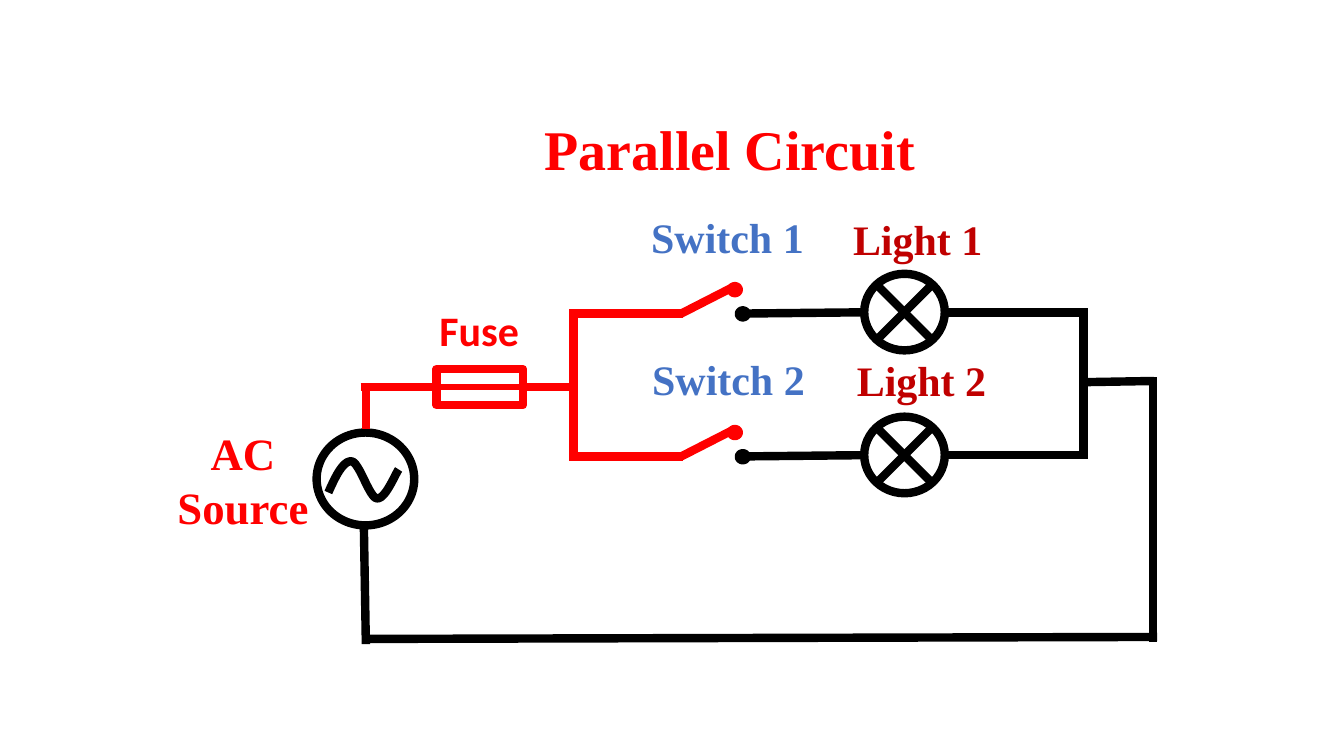
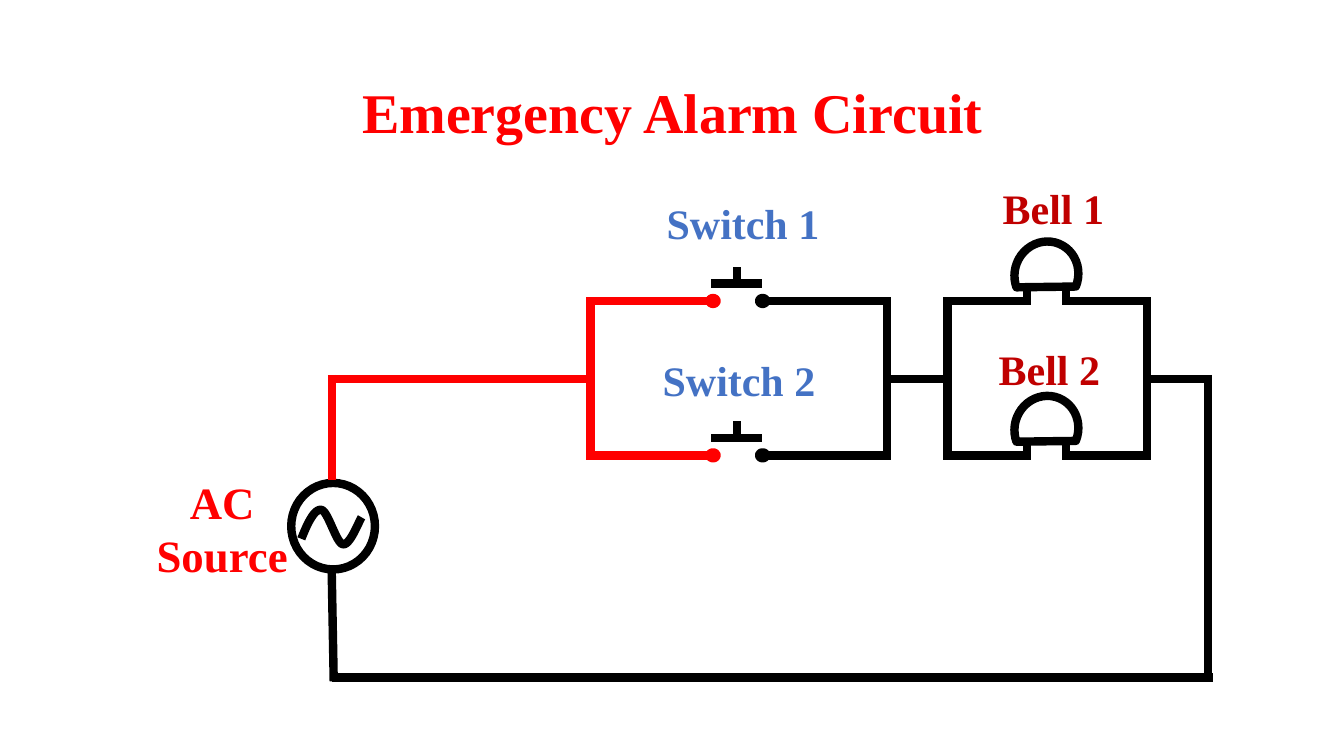
import pptx
import pptx.util
import pptx.dml.color
import pptx.enum.shapes
import pptx.enum.text
import pptx.oxml.ns
import lxml.etree

Cm, Pt = pptx.util.Cm, pptx.util.Pt
RGBColor = pptx.dml.color.RGBColor
Shape = pptx.enum.shapes.MSO_SHAPE
Align = pptx.enum.text.PP_ALIGN

RED = RGBColor(0xFF, 0x00, 0x00)
DARK_RED = RGBColor(0xC0, 0x00, 0x00)
BLUE = RGBColor(0x44, 0x72, 0xC4)
BLACK = RGBColor(0x00, 0x00, 0x00)
WHITE = RGBColor(0xFF, 0xFF, 0xFF)

# Bezier segments of the sine symbol, in a unit box
SINE_START = (0, 0.84)
SINE_CURVES = [
    ((0.1, 0.41), (0.21, -0.02), (0.33, 0)),
    ((0.44, 0.02), (0.58, 0.97), (0.69, 1)),
    ((0.81, 1.03), (0.95, 0.35), (1, 0.22)),
]
CURVE_STEPS = 12


def sine_points():
    """Sample the sine symbol as points in a unit box."""
    points = [SINE_START]
    for first, second, end in SINE_CURVES:
        corners = (points[-1], first, second, end)
        for step in range(1, CURVE_STEPS + 1):
            t = step / CURVE_STEPS
            weights = ((1 - t) ** 3, 3 * t * (1 - t) ** 2, 3 * t * t * (1 - t), t ** 3)
            points.append(tuple(sum(w * c[axis] for w, c in zip(weights, corners))
                                for axis in (0, 1)))
    return points


class CircuitDeck:
    """Drawing style and current slide; all lengths are centimetres."""

    serif = "Times New Roman"
    sans = "Calibri"
    wire_width = 6

    def __init__(self):
        self.deck = pptx.Presentation()
        self.deck.slide_width, self.deck.slide_height = Cm(33.87), Cm(19.05)
        self.slide = None

    # Text
    def new_slide(self, title, left, top):
        self.slide = self.deck.slides.add_slide(self.deck.slide_layouts[6])
        self.text([title], left, top, 22.61, 2.06, RED, 40, spacing=0.9)

    def text(self, lines, left, top, width, height, color, size,
             font=serif, align=Align.CENTER, spacing=1.0):
        box = self.slide.shapes.add_textbox(Cm(left), Cm(top), Cm(width), Cm(height))
        frame = box.text_frame
        frame.word_wrap = True
        frame.vertical_anchor = pptx.enum.text.MSO_ANCHOR.MIDDLE
        for index, line in enumerate(lines):
            paragraph = frame.add_paragraph() if index else frame.paragraphs[0]
            paragraph.alignment = align
            paragraph.line_spacing = spacing
            run = paragraph.add_run()
            run.text = line
            run.font.name, run.font.size, run.font.bold = font, Pt(size), True
            run.font.color.rgb = color

    def label(self, words, left, top, width, color, **style):
        self.text([words], left, top, width, 1.55, color, 30, **style)

    # Basic elements
    def wire(self, x1, y1, x2, y2, color=BLACK, width=wire_width):
        line = self.slide.shapes.add_connector(
            pptx.enum.shapes.MSO_CONNECTOR.STRAIGHT, Cm(x1), Cm(y1), Cm(x2), Cm(y2))
        line.line.color.rgb = color
        line.line.width = Pt(width)
        properties = line._element.find(pptx.oxml.ns.qn("p:spPr"))
        lxml.etree.SubElement(properties, pptx.oxml.ns.qn("a:effectLst"))

    def outline(self, kind, left, top, width, height, color=BLACK, fill=WHITE):
        shape = self.slide.shapes.add_shape(kind, Cm(left), Cm(top), Cm(width), Cm(height))
        shape.shadow.inherit = False
        shape.fill.solid()
        shape.fill.fore_color.rgb = fill
        shape.line.color.rgb = color
        shape.line.width = Pt(self.wire_width)
        return shape

    def contact(self, left, top, width, height, color=BLACK):
        self.outline(Shape.OVAL, left, top, width, height, color, BLACK)

    # Circuit symbols
    def source(self, left, top, width, height):
        self.outline(Shape.OVAL, left, top, width, height)
        points = [(int(Cm(left + width * (0.12 + 0.72 * x))),
                   int(Cm(top + height * (0.31 + 0.4 * y)))) for x, y in sine_points()]
        builder = self.slide.shapes.build_freeform(*points[0], scale=1.0)
        builder.add_line_segments(points[1:], close=False)
        wave = builder.convert_to_shape()
        wave.shadow.inherit = False
        wave.fill.background()
        wave.line.color.rgb = BLACK
        wave.line.width = Pt(self.wire_width)

    def source_label(self, left, top, width):
        self.text(["AC", "Source"], left, top, width, 3, RED, 32)

    def fuse(self, left, middle):
        self.outline(Shape.RECTANGLE, left, middle - 0.45, 2.18, 0.91, RED)
        self.wire(left, middle, left + 2.16, middle, RED, 4.5)

    def lamp(self, x, y):
        self.outline(Shape.OVAL, x - 1.01, y - 0.97, 2.03, 1.93)
        for slope in (1, -1):
            self.wire(x - 0.64, y - 0.64 * slope, x + 0.64, y + 0.64 * slope)

    def lever_switch(self, x, y):
        self.wire(x, y, x + 1.35, y - 0.69, RED)
        self.contact(x + 1.25, y - 0.69, 0.2, 0.18, RED)
        self.contact(x + 1.45, y - 0.08, 0.2, 0.18)

    def push_switch(self, x, y):
        self.contact(x + 1.2, y - 0.08, 0.18, 0.15)
        self.wire(x, y - 0.45, x + 1.27, y - 0.45)
        self.wire(x + 0.64, y - 0.46, x + 0.64, y - 0.87)
        self.contact(x - 0.05, y - 0.08, 0.18, 0.15, RED)

    def bell(self, left, y):
        dome = self.outline(Shape.CHORD, left, y - 1.47, 1.68, 1.6)
        dome.rotation = 112
        self.wire(left + 0.35, y - 0.3, left + 0.35, y + 0.03)
        self.wire(left + 1.34, y - 0.33, left + 1.34, y)


def parallel_circuit(deck):
    deck.new_slide("Parallel Circuit", 7.09, 2.82)

    # Source and return wires
    deck.source(7.98, 10.9, 2.46, 2.34)
    deck.source_label(4.17, 10.59, 3.91)
    deck.wire(9.22, 9.68, 9.22, 10.8, RED)
    deck.wire(9.17, 13.28, 9.22, 16.23)
    deck.wire(9.17, 16.1, 29.16, 16.05)
    deck.wire(27.31, 9.63, 29.08, 9.6)
    deck.wire(29.06, 9.5, 29.06, 16.18)

    # Switch and lamp branches
    top_branch, bottom_branch = 7.9, 11.5
    for y in (top_branch, bottom_branch):
        deck.wire(14.35, y, 17.22, y, RED)
        deck.lever_switch(17.17, y)
        deck.wire(18.82, y, 21.72, y - 0.03)
        deck.lamp(22.79, y - 0.03)
        deck.wire(23.83, y - 0.03, 27.41, y - 0.03)
    deck.wire(14.45, top_branch, 14.45, bottom_branch, RED)
    deck.wire(27.31, top_branch, 27.31, bottom_branch)
    deck.label("Switch 1", 16, 5.18, 4.67, BLUE)
    deck.label("Switch 2", 16.05, 8.76, 4.62, BLUE)
    deck.label("Light 1", 21.11, 5.23, 4.04, DARK_RED)
    deck.label("Light 2", 21.08, 8.79, 4.29, DARK_RED)

    # Fuse on the feed wire
    deck.wire(9.09, 9.75, 14.45, 9.75, RED)
    deck.fuse(11, 9.75)
    deck.label("Fuse", 10.67, 7.54, 2.82, RED, font=deck.sans)


def alarm_circuit(deck):
    deck.new_slide("Emergency Alarm Circuit", 5.64, 1.88)

    # Source, feed and return wires
    middle, bottom = 9.55, 17.07
    deck.source(7.34, 12.17, 2.11, 2.18)
    deck.source_label(3.3, 11.81, 4.6)
    deck.wire(8.26, middle, 14.88, middle, RED)
    deck.wire(8.36, 9.45, 8.36, 12.09, RED)
    deck.wire(8.36, 14.43, 8.41, 17.17)
    deck.wire(8.36, bottom, 30.56, bottom)
    deck.wire(22.35, middle, 23.88, middle)
    deck.wire(28.91, middle, 30.45, middle)
    deck.wire(30.45, 9.45, 30.45, 17.17)

    # Vertical rails of the two parallel groups
    for x, color in ((14.88, RED), (22.35, BLACK), (23.88, BLACK), (28.91, BLACK)):
        deck.wire(x, 7.49, x, 11.58, color)

    # Switch and bell branches
    for y in (7.59, 11.48):
        deck.wire(14.88, y, 17.93, y, RED)
        deck.wire(19.3, y, 22.35, y)
        deck.push_switch(17.93, y)
        deck.wire(23.85, y, 25.98, y)
        deck.bell(25.53, y)
        deck.wire(26.77, y, 28.91, y)
    deck.label("Switch 1", 16.26, 4.83, 4.93, BLUE)
    deck.label("Switch 2", 16.21, 8.79, 4.83, BLUE)
    deck.label("Bell 1", 25.02, 4.45, 3.48, DARK_RED, align=Align.LEFT)
    deck.label("Bell 2", 24.92, 8.51, 3.25, DARK_RED, align=Align.LEFT)


def main():
    circuits = CircuitDeck()
    parallel_circuit(circuits)
    alarm_circuit(circuits)
    circuits.deck.save("out.pptx")


if __name__ == "__main__":
    main()
